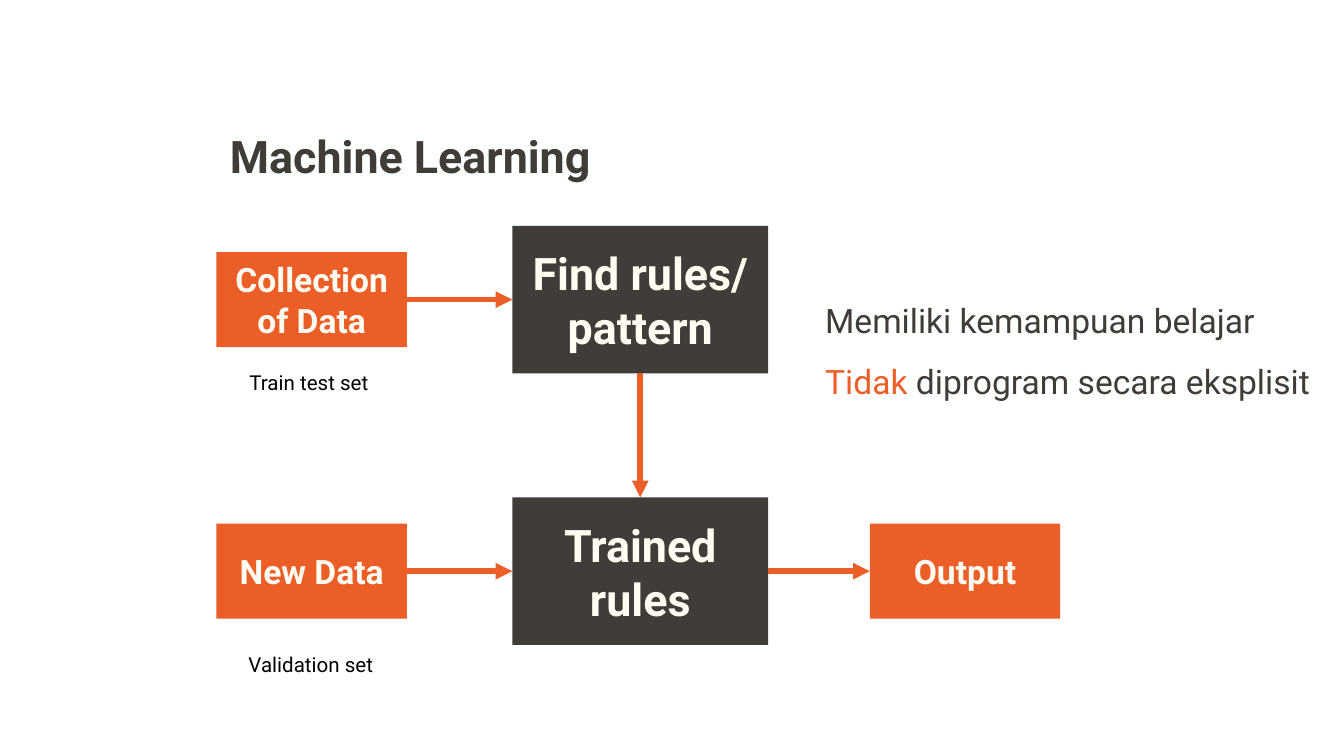
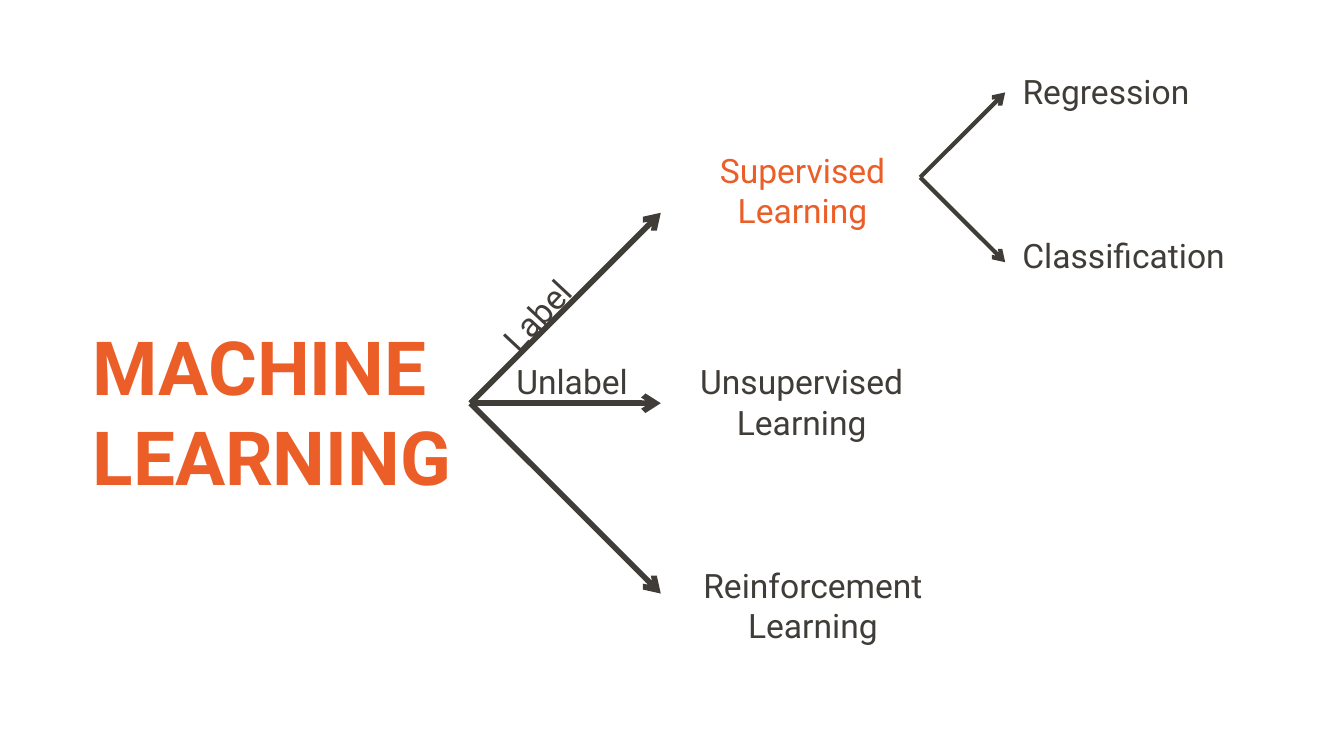
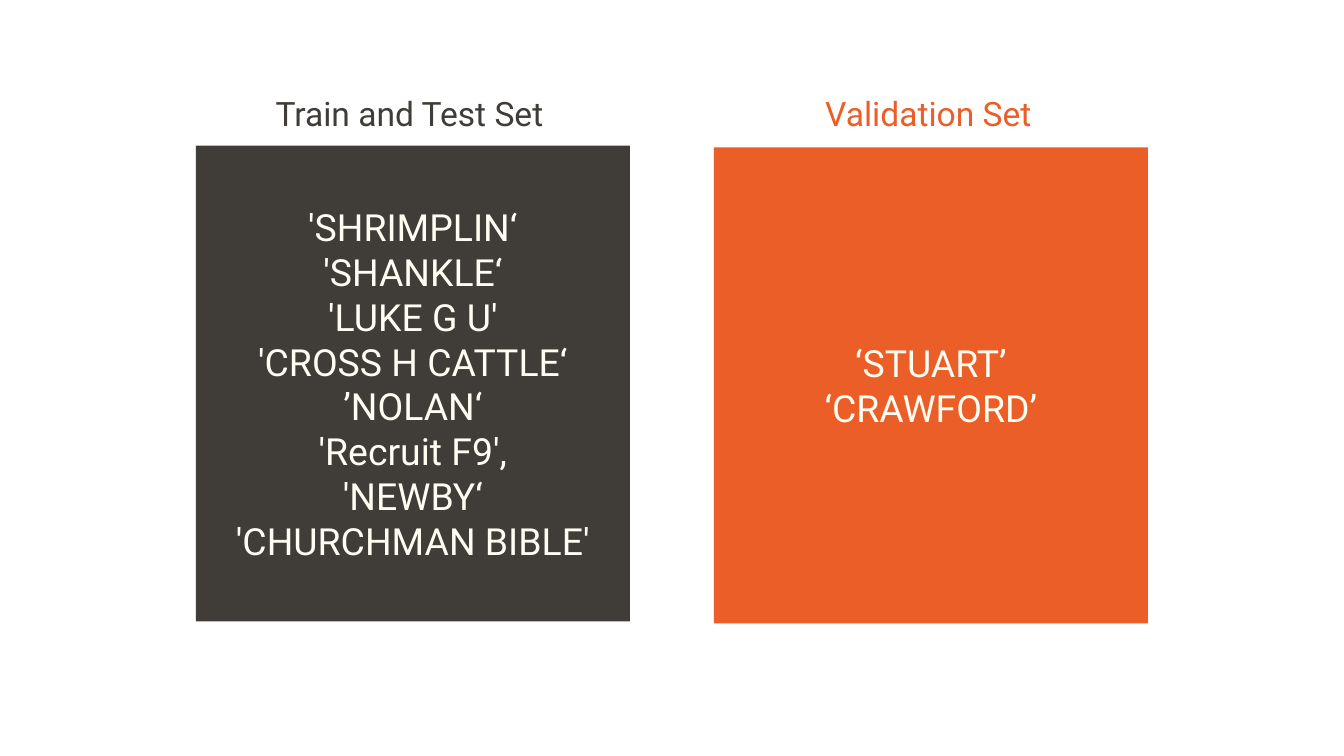
from lxml import etree
from pptx import Presentation
from pptx.dml.color import RGBColor
from pptx.enum.shapes import MSO_CONNECTOR, MSO_SHAPE
from pptx.enum.text import MSO_ANCHOR, MSO_AUTO_SIZE, PP_ALIGN
from pptx.oxml.ns import qn
from pptx.util import Pt

RECTANGLE = MSO_SHAPE.RECTANGLE
STRAIGHT = MSO_CONNECTOR.STRAIGHT
TOP, MIDDLE = MSO_ANCHOR.TOP, MSO_ANCHOR.MIDDLE
LEFT, CENTER = PP_ALIGN.LEFT, PP_ALIGN.CENTER
FIT_SHAPE, NO_FIT = MSO_AUTO_SIZE.SHAPE_TO_FIT_TEXT, MSO_AUTO_SIZE.NONE
TOP_SIDE, LEFT_SIDE, BOTTOM_SIDE, RIGHT_SIDE = range(4)
TITLE_ONLY, BLANK = 5, 6

FONT = "Roboto"
DARK, ORANGE, CREAM, BLACK = "403D39", "EB5E28", "FFFCF2", "000000"


def color(value):
    return RGBColor.from_string(value)


class Deck:
    def __init__(self):
        self.deck = Presentation()
        self.deck.slide_width, self.deck.slide_height = Pt(720), Pt(405)
        self.page = None

    def add_page(self, layout):
        self.page = self.deck.slides.add_slide(self.deck.slide_layouts[layout])

    def fill_text(self, box, lines, size, ink, bold=False, align=LEFT):
        frame = box.text_frame
        for index, line in enumerate(lines):
            para = frame.add_paragraph() if index else frame.paragraphs[0]
            para.alignment = align
            spans = [(line, ink)] if isinstance(line, str) else line
            for text, span_ink in spans:
                span = para.add_run()
                span.text = text
                span.font.name = FONT
                span.font.size = Pt(size)
                span.font.bold = bold
                span.font.color.rgb = color(span_ink)

    def title(self, left, top, width, height, lines, size, ink, wrap):
        box = self.page.shapes.title
        box.left, box.top, box.width, box.height = map(Pt, (left, top, width, height))
        frame = box.text_frame
        frame.vertical_anchor = TOP
        frame.word_wrap = wrap
        frame.auto_size = NO_FIT if wrap else FIT_SHAPE
        self.fill_text(box, lines, size, ink, bold=True)

    def label(self, left, top, width, height, lines, size=18, ink=DARK, align=LEFT, turn=0):
        box = self.page.shapes.add_textbox(Pt(left), Pt(top), Pt(width), Pt(height))
        box.rotation = turn
        box.text_frame.word_wrap = False
        box.text_frame.auto_size = FIT_SHAPE
        self.fill_text(box, lines, size, ink, align=align)

    def block(self, left, top, width, height, fill, lines, size, bold=True):
        box = self.page.shapes.add_shape(RECTANGLE, Pt(left), Pt(top), Pt(width), Pt(height))
        box.shadow.inherit = False
        box.fill.solid()
        box.fill.fore_color.rgb = color(fill)
        box.line.fill.background()
        box.text_frame.word_wrap = True
        box.text_frame.vertical_anchor = MIDDLE
        self.fill_text(box, lines, size, CREAM, bold, CENTER)
        return box

    def arrow(self, start, end, ink, weight, head):
        line = self.page.shapes.add_connector(STRAIGHT, *map(Pt, (*start, *end)))
        line.line.color.rgb = color(ink)
        line.line.width = Pt(weight)
        properties = line.element.spPr
        etree.SubElement(properties.find(qn("a:ln")), qn("a:tailEnd"), type=head)
        etree.SubElement(properties, qn("a:effectLst"))
        return line

    def link(self, source, source_side, target, target_side):
        line = self.arrow((0, 0), (0, 0), ORANGE, 3, "triangle")
        line.begin_connect(source, source_side)
        line.end_connect(target, target_side)

    def fan(self, x, y, reach, rises, weight):
        for rise in rises:
            self.arrow((x, y), (x + reach, y + rise), DARK, weight, "arrow")


def build_process(deck):
    deck.add_page(TITLE_ONLY)
    deck.title(116, 65.5, 209, 36, ["Machine Learning"], 24, DARK, False)
    train_row, predict_row = 160.5, 306

    def data_block(left, row, text):
        return deck.block(left, row - 25.5, 102, 51, ORANGE, [text], 18)

    def rule_block(row, lines):
        return deck.block(274.5, row - 39.5, 137, 79, DARK, lines, 24)

    collection = data_block(116, train_row, "Collection of Data")
    new_data = data_block(116, predict_row, "New Data")
    output = data_block(466, predict_row, "Output")
    find_rules = rule_block(train_row, ["Find rules/", "pattern"])
    trained_rules = rule_block(predict_row, ["Trained rules"])

    deck.link(collection, RIGHT_SIDE, find_rules, LEFT_SIDE)
    deck.link(find_rules, BOTTOM_SIDE, trained_rules, TOP_SIDE)
    deck.link(new_data, RIGHT_SIDE, trained_rules, LEFT_SIDE)
    deck.link(trained_rules, RIGHT_SIDE, output, LEFT_SIDE)

    deck.label(435, 157, 249, 29, ["Memiliki kemampuan belajar"])
    deck.label(435, 190, 280, 29, [[("Tidak ", ORANGE), ("diprogram secara eksplisit", DARK)]])
    deck.label(126.5, 194.5, 81, 21, ["Train test set"], 11, BLACK)
    deck.label(126, 345.5, 83, 21, ["Validation set"], 11, BLACK)


def build_types(deck):
    deck.add_page(TITLE_ONLY)
    deck.title(42.5, 168.5, 584, 147.5, ["MACHINE", "LEARNING"], 40, ORANGE, True)
    deck.fan(252, 216, 102, (-102, 0, 102), 3)
    deck.fan(493, 95, 45.5, (-45.5, 45.5), 2.25)
    for left, top, width, kind, ink in (
        (377.5, 76.5, 105, "Supervised", ORANGE),
        (366.5, 190, 126, "Unsupervised", DARK),
        (368.5, 299, 134, "Reinforcement", DARK),
    ):
        deck.label(left, top, width, 51, [kind, "Learning"], ink=ink, align=CENTER)
    deck.label(258.5, 154, 59, 29, ["Label"], turn=313.1)
    deck.label(269.5, 190, 76, 29, ["Unlabel"])
    deck.label(539.5, 34.5, 106, 29, ["Regression"], align=CENTER)
    deck.label(539.5, 122.5, 125, 29, ["Classification"], align=CENTER)


def build_sets(deck):
    deck.add_page(BLANK)
    train_wells = [
        "'SHRIMPLIN‘", "'SHANKLE‘", "'LUKE G U'", "'CROSS H CATTLE‘",
        "’NOLAN‘", "'Recruit F9',", "'NEWBY‘", "'CHURCHMAN BIBLE'",
    ]
    validation_wells = ["‘STUART’", "‘CRAWFORD’"]
    for left, top, ink, wells, heading_left, heading_width, heading in (
        (105, 78, DARK, train_wells, 140.5, 162, "Train and Test Set"),
        (382.5, 79, ORANGE, validation_wells, 435, 127.5, "Validation Set"),
    ):
        deck.block(left, top, 232.5, 255, ink, wells, 20, bold=False)
        deck.label(heading_left, 46, heading_width, 29, [heading], ink=ink)


def main():
    deck = Deck()
    build_process(deck)
    build_types(deck)
    build_sets(deck)
    deck.deck.save("out.pptx")


if __name__ == "__main__":
    main()
